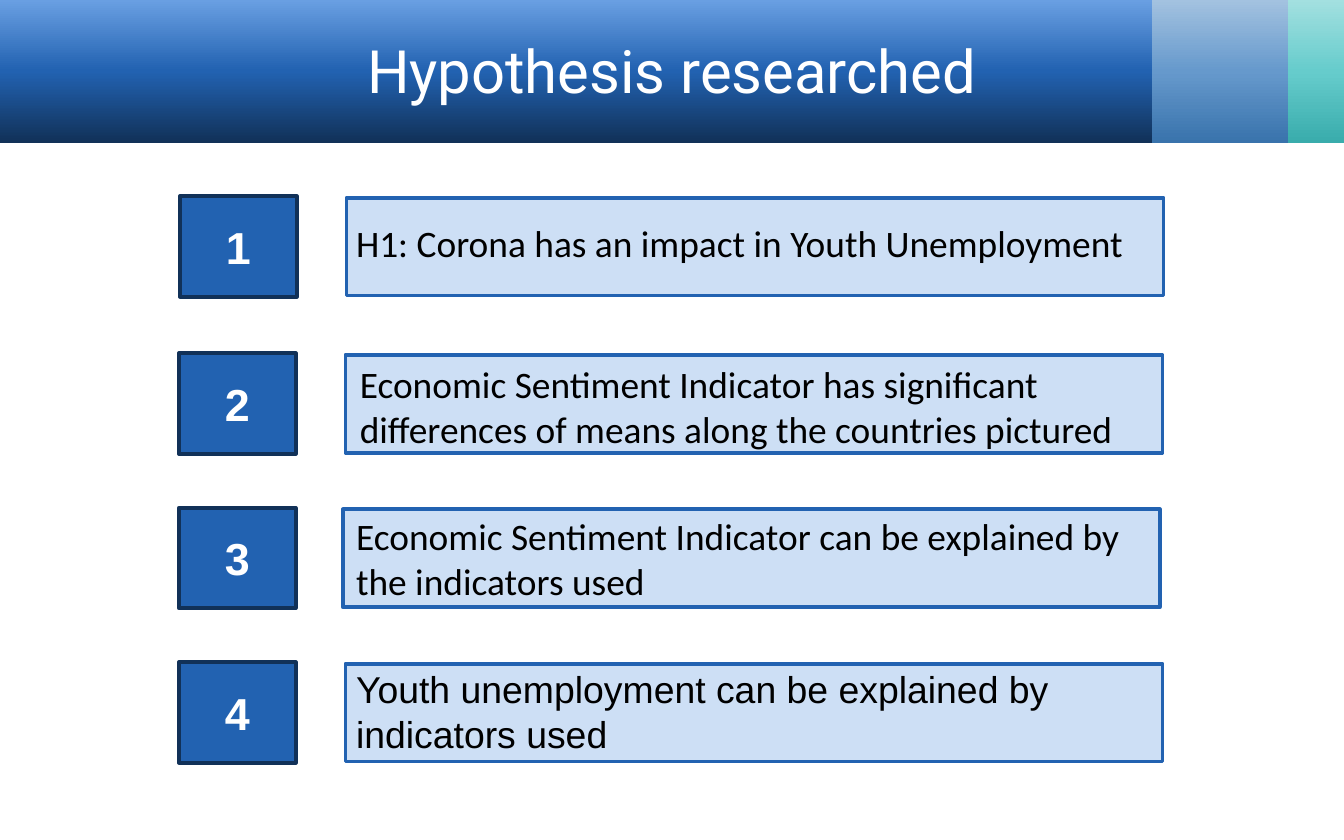
from copy import deepcopy

from pptx import Presentation
from pptx.dml.color import RGBColor
from pptx.enum.shapes import MSO_SHAPE
from pptx.enum.text import MSO_ANCHOR, PP_ALIGN
from pptx.oxml.ns import qn
from pptx.util import Cm, Pt

WHITE = RGBColor(0xFF, 0xFF, 0xFF)
BLACK = RGBColor(0x00, 0x00, 0x00)
NAVY = RGBColor(0x11, 0x31, 0x58)
BLUE = RGBColor(0x22, 0x62, 0xB1)
SKY = RGBColor(0x69, 0x9F, 0xE2)
PALE = RGBColor(0xCD, 0xDF, 0xF5)
STEEL = (RGBColor(0x39, 0x73, 0xAC), RGBColor(0x66, 0x99, 0xCC),
         RGBColor(0xA3, 0xC2, 0xE0))
TEAL = (RGBColor(0x39, 0xAC, 0xAC), RGBColor(0x66, 0xCC, 0xCC),
        RGBColor(0xA3, 0xE0, 0xE0))

# left, width, colours from bottom to top
BANDS = [
    (23.95, 1.47, TEAL),
    (21.67, 2.67, STEEL),
    (0, 21.77, (NAVY, BLUE, SKY)),
]
# row top, number left, box left, text left, text top, font, text
ROWS = [
    (3.71, 3.4, 6.55, 6.48, 4.04, "Calibri",
     "H1: Corona has an impact in Youth Unemployment"),
    (6.68, 3.38, 6.53, 6.55, 6.71, "Calibri",
     "Economic Sentiment Indicator has significant differences of means "
     "along the countries pictured"),
    (9.6, 3.38, 6.48, 6.48, 9.58, "Calibri",
     "Economic Sentiment Indicator can be explained by the indicators used"),
    (12.52, 3.38, 6.53, 6.48, 12.47, "Arial",
     "Youth unemployment can be explained by indicators used"),
]


def add_rect(slide, left, top, width, height):
    """Add a rectangle without shadow."""
    rect = slide.shapes.add_shape(
        MSO_SHAPE.RECTANGLE, Cm(left), Cm(top), Cm(width), Cm(height))
    rect.shadow.inherit = False
    return rect


def add_band(slide, left, width, shades):
    """Add a header band that blends three shades upward."""
    band = add_rect(slide, left, 0, width, 2.7)
    band.line.fill.background()
    fill = band.fill
    fill.gradient()
    fill.gradient_angle = 90
    stops = next(band.element.iter(qn("a:gsLst")))
    stops.insert(1, deepcopy(stops[0]))
    for stop, place, shade in zip(fill.gradient_stops, (0, 0.5, 1), shades):
        stop.position = place
        stop.color.rgb = shade


def add_box(slide, left, top, width, height, fill, edge):
    """Add a filled and outlined box."""
    box = add_rect(slide, left, top, width, height)
    box.fill.solid()
    box.fill.fore_color.rgb = fill
    box.line.color.rgb = edge
    box.line.width = Pt(2)
    return box


def set_text(shape, text, size, face, color, bold=False,
             align=PP_ALIGN.LEFT, anchor=MSO_ANCHOR.TOP):
    """Put one styled paragraph in a shape."""
    frame = shape.text_frame
    frame.word_wrap = True
    frame.vertical_anchor = anchor
    para = frame.paragraphs[0]
    para.text = text
    para.alignment = align
    font = para.font
    font.size, font.name, font.bold = Pt(size), face, bold
    font.color.rgb = color


def add_label(slide, left, top, width, height, *args, **style):
    """Add a text box with one styled paragraph."""
    label = slide.shapes.add_textbox(
        Cm(left), Cm(top), Cm(width), Cm(height))
    set_text(label, *args, **style)


def add_row(slide, index, row):
    """Add a numbered row with its statement."""
    top, num_left, box_left, left, text_top, face, text = row
    add_box(slide, box_left, top + 0.03, 15.44, 1.85, PALE, BLUE)
    num = add_box(slide, num_left, top, 2.21, 1.9, BLUE, NAVY)
    set_text(num, str(index), 24, "Arial", WHITE, bold=True,
             align=PP_ALIGN.CENTER, anchor=MSO_ANCHOR.MIDDLE)
    add_label(slide, left, text_top, 15.44, 1.96, text, 20, face, BLACK)


def main():
    """Build and save the slide."""
    deck = Presentation()
    deck.slide_width, deck.slide_height = Cm(25.4), Cm(15.88)
    slide = deck.slides.add_slide(deck.slide_layouts[6])
    for band in BANDS:
        add_band(slide, *band)
    add_label(slide, 1.27, 0.2, 22.86, 2.24, "Hypothesis researched", 32,
              "Roboto", WHITE, align=PP_ALIGN.CENTER,
              anchor=MSO_ANCHOR.MIDDLE)
    for index, row in enumerate(ROWS, 1):
        add_row(slide, index, row)
    deck.save("out.pptx")


main()
